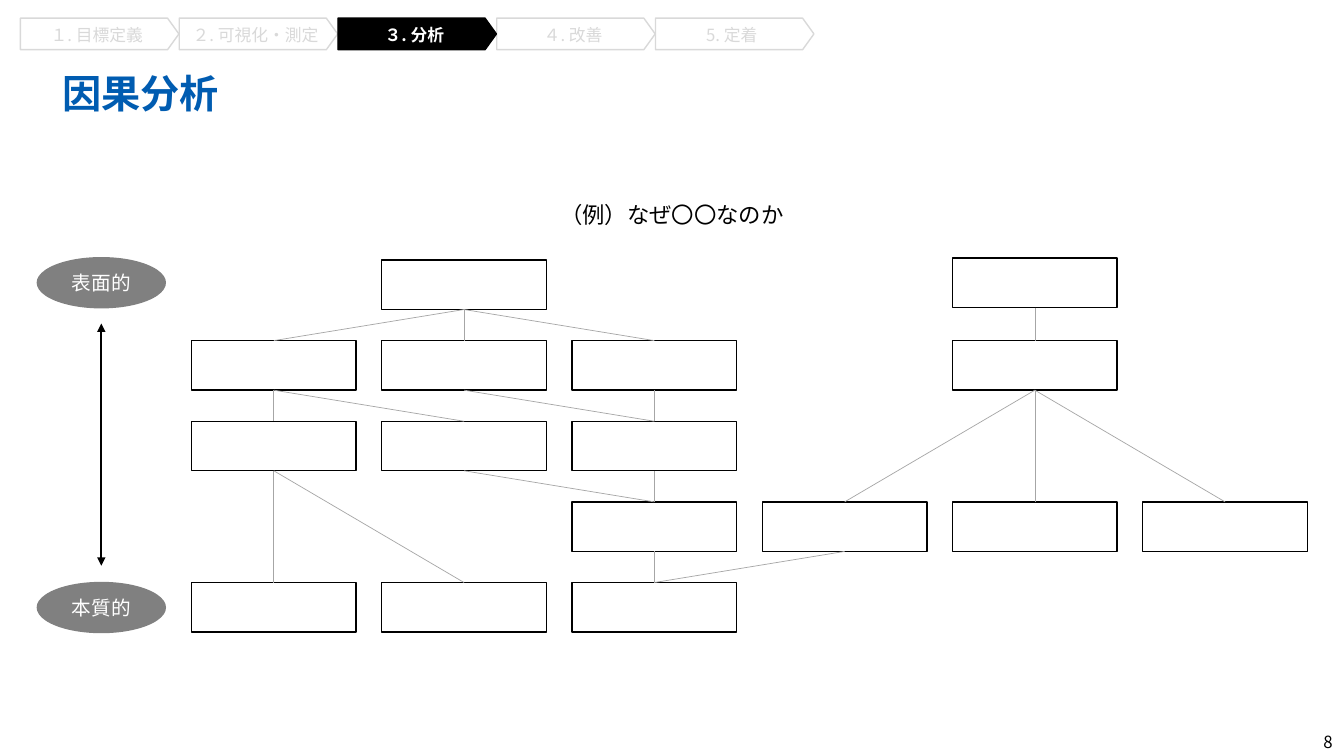
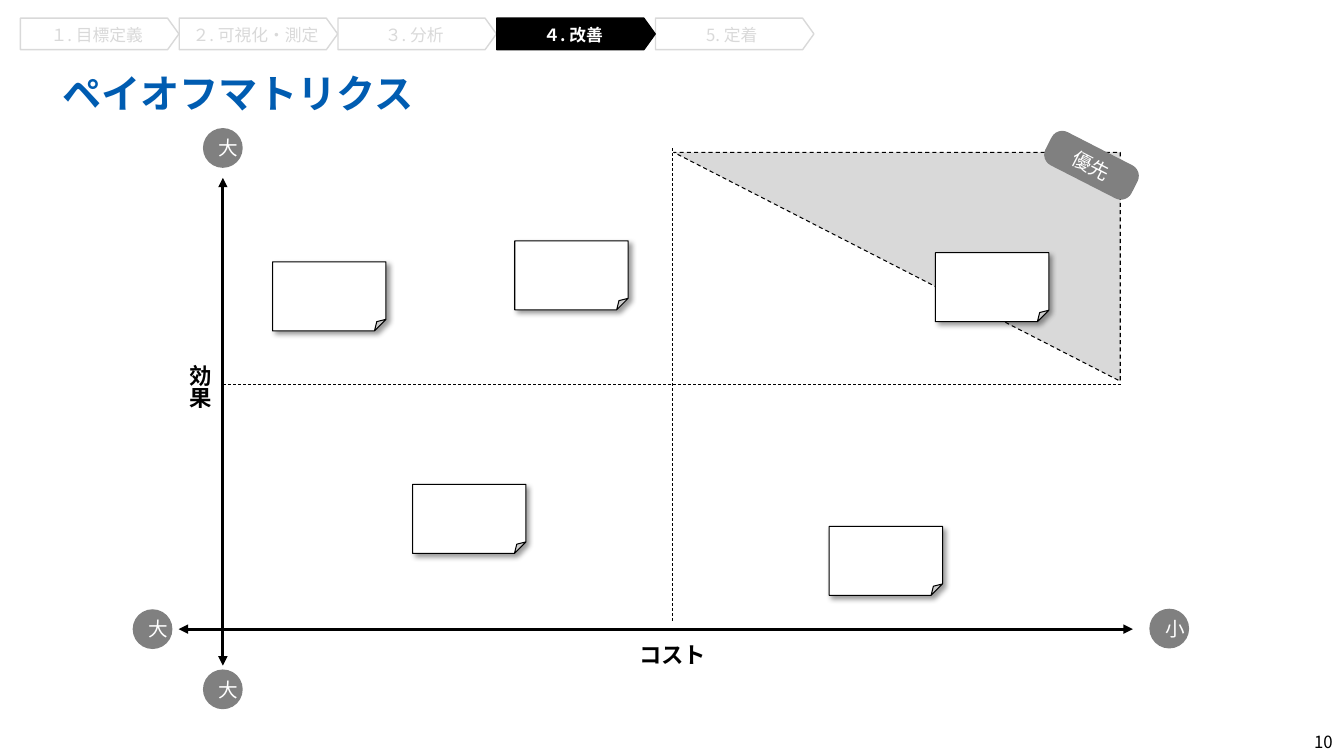
from pptx import Presentation
from pptx.dml.color import RGBColor
from pptx.enum.dml import MSO_LINE
from pptx.enum.shapes import MSO_CONNECTOR, MSO_SHAPE
from pptx.enum.text import MSO_ANCHOR, MSO_AUTO_SIZE, PP_ALIGN
from pptx.oxml.ns import qn
from pptx.util import Pt
from lxml.etree import SubElement

FONT = "Noto Sans CJK JP"
COLORS = {
    "title": "005CB1",
    "ink": "000000",
    "paper": "FFFFFF",
    "faint": "D9D9D9",
    "link": "A6A6A6",
    "badge": "808080",
}
STEPS = ["１. 目標定義", "２. 可視化・測定", "３. 分析", "４. 改善", "5. 定着"]


def rgb(name):
    return RGBColor.from_string(COLORS[name])


# Shared building blocks
def write(frame, text, size, color, bold=False, align=PP_ALIGN.CENTER):
    para = frame.paragraphs[0]
    para.alignment = align
    span = para.add_run()
    span.text = text
    span.font.size = Pt(size)
    span.font.bold = bold
    span.font.name = FONT
    span.font.color.rgb = rgb(color)
    SubElement(span.font._element, qn("a:ea"), typeface=FONT)
    return para


def set_margins(frame, left, top, right, bottom):
    frame.margin_left, frame.margin_top = Pt(left), Pt(top)
    frame.margin_right, frame.margin_bottom = Pt(right), Pt(bottom)


def add_box(page, kind, left, top, width, height, fill, line=None, weight=1):
    box = page.shapes.add_shape(kind, Pt(left), Pt(top), Pt(width), Pt(height))
    box.shadow.inherit = False
    box.fill.solid()
    box.fill.fore_color.rgb = rgb(fill)
    if line:
        box.line.color.rgb = rgb(line)
        box.line.width = Pt(weight)
    else:
        box.line.fill.background()
    return box


def add_line(page, x1, y1, x2, y2, color, weight, arrows=False, dashed=False):
    line = page.shapes.add_connector(
        MSO_CONNECTOR.STRAIGHT, Pt(x1), Pt(y1), Pt(x2), Pt(y2))
    line.line.color.rgb = rgb(color)
    line.line.width = Pt(weight)
    if dashed:
        line.line.dash_style = MSO_LINE.DASH
    if arrows:
        for end in ("a:headEnd", "a:tailEnd"):
            SubElement(line.line._ln, qn(end), type="triangle")
    SubElement(line._element.spPr, qn("a:effectLst"))
    return line


def add_badge(page, kind, left, top, width, height, text):
    badge = add_box(page, kind, left, top, width, height, "badge")
    write(badge.text_frame, text, 14, "paper")
    return badge


# Page frame: title, step bar and page number
def add_page(deck, title, active, number):
    page = deck.slides.add_slide(deck.slide_layouts[5])
    heading = page.shapes.title
    heading.left, heading.top = Pt(44.6), Pt(42.5)
    heading.width, heading.height = Pt(754), Pt(36.7)
    frame = heading.text_frame
    frame.auto_size = MSO_AUTO_SIZE.NONE
    frame.vertical_anchor = MSO_ANCHOR.TOP
    set_margins(frame, 0, 0, 0, 0)
    para = write(frame, title, 28, "title", True, PP_ALIGN.LEFT)
    para.line_spacing = 1.2
    add_step_bar(page, 14.6, 13, active)
    add_page_number(page, 927.4, 522.7, number)
    return page


def add_step_bar(page, left, top, active):
    # The active step goes on top of its neighbours
    for index in sorted(range(len(STEPS)), key=lambda step: step == active):
        current = index == active
        step = add_box(page, MSO_SHAPE.PENTAGON, left + 113.4 * index, top, 113.2, 22.5,
                       "ink" if current else "paper", "ink" if current else "faint")
        step.adjustments[0] = 0.36
        frame = step.text_frame
        frame.word_wrap = False
        set_margins(frame, 7.2, 3.6, 7.2, 2.9)
        write(frame, STEPS[index], 12, "paper" if current else "faint", current)


def add_page_number(page, left, top, number):
    box = page.shapes.add_textbox(Pt(left), Pt(top), Pt(31.7), Pt(14.4))
    frame = box.text_frame
    frame.word_wrap = True
    frame.vertical_anchor = MSO_ANCHOR.MIDDLE
    set_margins(frame, 7.2, 0, 7.2, 0)
    write(frame, str(number), 12, "ink", align=PP_ALIGN.RIGHT)


# Causal analysis
def add_depth_scale(page, left, top):
    width, height, drop = 92.4, 36.7, 232
    for offset, label in ((0, "表面的"), (drop, "本質的")):
        add_badge(page, MSO_SHAPE.OVAL, left, top + offset, width, height, label)
    middle = left + width / 2
    add_line(page, middle, top + 47.5, middle, top + 220.5, "ink", 1.5, arrows=True)


def add_cause_tree(page, left, top):
    # Each cell (column, row) maps to the cells below it
    links = {
        (1, 0): [(0, 1), (1, 1), (2, 1)],
        (0, 1): [(0, 2), (1, 2)],
        (1, 1): [(2, 2)],
        (2, 1): [(2, 2)],
        (0, 2): [(0, 4), (1, 4)],
        (1, 2): [(2, 3)],
        (2, 2): [(2, 3)],
        (2, 3): [(2, 4)],
        (4, 0): [(4, 1)],
        (4, 1): [(3, 3), (4, 3), (5, 3)],
        (3, 3): [(2, 4)],
    }
    cells = set(links).union(*links.values())
    boxes = {
        (column, row): add_box(page, MSO_SHAPE.RECTANGLE, left + 135.9 * column,
                               top + 57.6 * row, 117.6, 35.4, "paper", "ink")
        for column, row in sorted(cells)
    }
    boxes[4, 0].top -= Pt(1.4)
    for cause, effects in links.items():
        for effect in effects:
            link = add_line(page, 0, 0, 0, 0, "link", 0.5)
            link.begin_connect(boxes[cause], 2)
            link.end_connect(boxes[effect], 0)


def add_question(page, left, top):
    box = add_box(page, MSO_SHAPE.RECTANGLE, left, top, 620, 26, "paper")
    write(box.text_frame, "（例）なぜ〇〇なのか", 16, "ink")


def build_cause_page(deck):
    page = add_page(deck, "因果分析", 2, 8)
    add_question(page, 170, 140.4)
    add_depth_scale(page, 26.2, 183.6)
    add_cause_tree(page, 136.8, 185.7)


# Payoff matrix
def add_axis_label(page, left, top, width, height, text, vertical=False):
    box = add_box(page, MSO_SHAPE.RECTANGLE, left, top, width, height, "paper")
    frame = box.text_frame
    frame.word_wrap = False
    frame.auto_size = MSO_AUTO_SIZE.SHAPE_TO_FIT_TEXT
    frame.vertical_anchor = MSO_ANCHOR.TOP
    if vertical:
        frame._txBody.bodyPr.set("vert", "eaVert")
    write(frame, text, 16, "ink", True,
          PP_ALIGN.LEFT if vertical else PP_ALIGN.CENTER)


def add_axes(page, left, top, width, height):
    bottom = top + height
    add_line(page, left, bottom + 26, left, top + 21, "ink", 2.25, arrows=True)
    add_line(page, left - 31.6, bottom, left + width + 8, bottom, "ink", 2.25, arrows=True)
    add_axis_label(page, left + 289.5, bottom + 5, 63.4, 26.6, "コスト")
    add_axis_label(page, left - 37.4, top + 147.4, 33.8, 39.6, "効果", True)
    # Quadrant dividers
    middle_x, middle_y = left + width / 2, top + 168.3
    add_line(page, left, middle_y, left + width, middle_y, "ink", 0.5, dashed=True)
    add_line(page, middle_x, bottom - 6, middle_x, top, "ink", 0.5, dashed=True)


def add_axis_ends(page, left, top, width, height):
    size = 28.4
    ends = [
        (0, -0.3, "大"),
        (0, height + 386.4 - height, "大"),
        (-50.2, height, "大"),
        (width + 34, height - 0.4, "小"),
    ]
    for x, y, label in ends:
        add_badge(page, MSO_SHAPE.FLOWCHART_CONNECTOR, left + x - size / 2,
                  top + y - size / 2, size, size, label)


def add_priority_area(page, left, top, width, height):
    area = add_box(page, MSO_SHAPE.RIGHT_TRIANGLE, left, top, width, height,
                   "faint", "ink", 0.75)
    area.rotation = 180
    area.line.dash_style = MSO_LINE.DASH
    tag = add_badge(page, MSO_SHAPE.ROUNDED_RECTANGLE, left + width - 55, top - 4,
                    69, 26.6, "優先")
    tag.adjustments[0] = 0.32
    tag.rotation = 27.1


def add_notes(page, left, top):
    for x, y in ((206, 65.5), (506.5, 74), (430.6, 269.5), (133, 239.5), (33, 80.5)):
        note = add_box(page, MSO_SHAPE.FOLDED_CORNER, left + x, top + y, 81, 49.3,
                       "paper", "ink", 0.75)
        effects = note._element.spPr.find(qn("a:effectLst"))
        shadow = SubElement(effects, qn("a:outerShdw"), blurRad=str(Pt(4)),
                            dist=str(Pt(3)), dir="2700000", algn="tl", rotWithShape="0")
        shade = SubElement(shadow, qn("a:srgbClr"), val=COLORS["ink"])
        SubElement(shade, qn("a:alpha"), val="40000")


def build_payoff_page(deck):
    page = add_page(deck, "ペイオフマトリクス", 3, 10)
    left, top, width, height = 159.2, 106, 642, 343.4
    add_axes(page, left, top, width, height)
    add_priority_area(page, left + 322, top + 2.8, 319, 163.5)
    add_notes(page, left + 2.5, top + 0.5)
    add_axis_ends(page, left, top, width, height)


def main():
    deck = Presentation()
    deck.slide_width, deck.slide_height = Pt(960), Pt(540)
    build_cause_page(deck)
    build_payoff_page(deck)
    deck.save("out.pptx")


if __name__ == "__main__":
    main()
